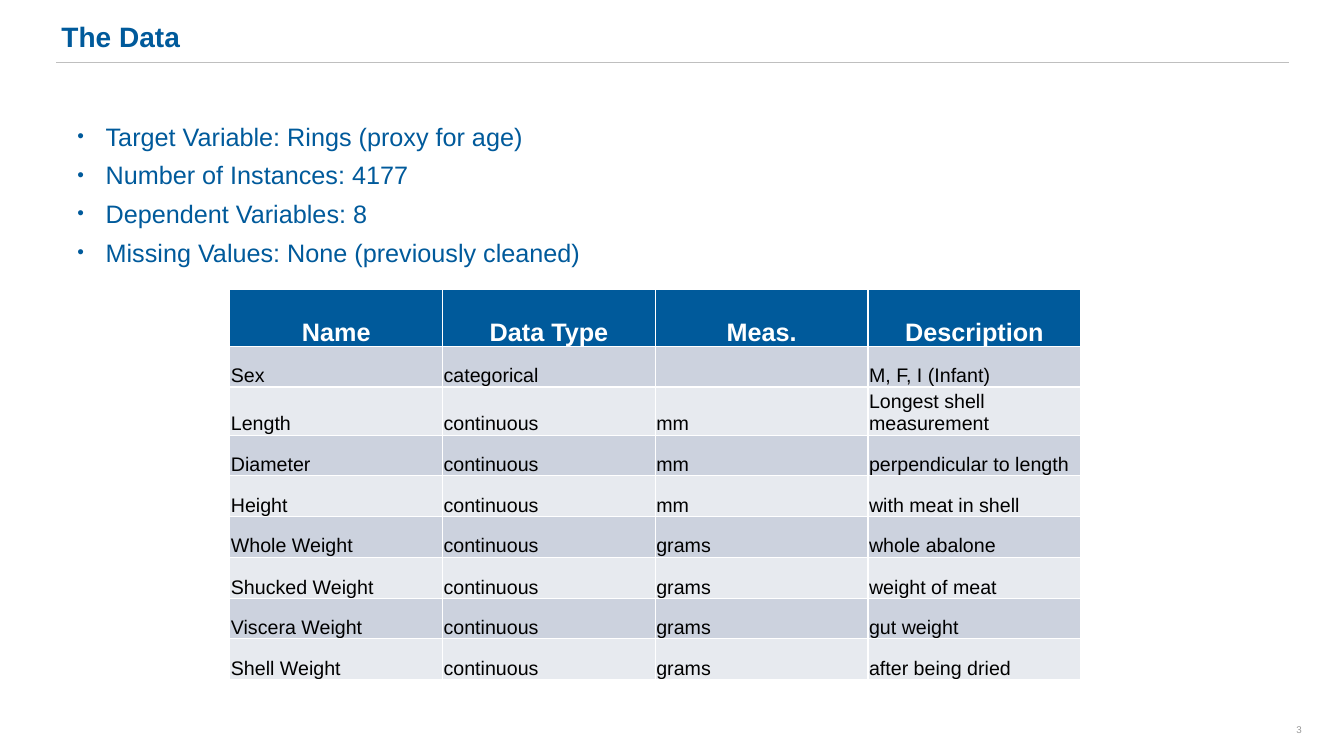
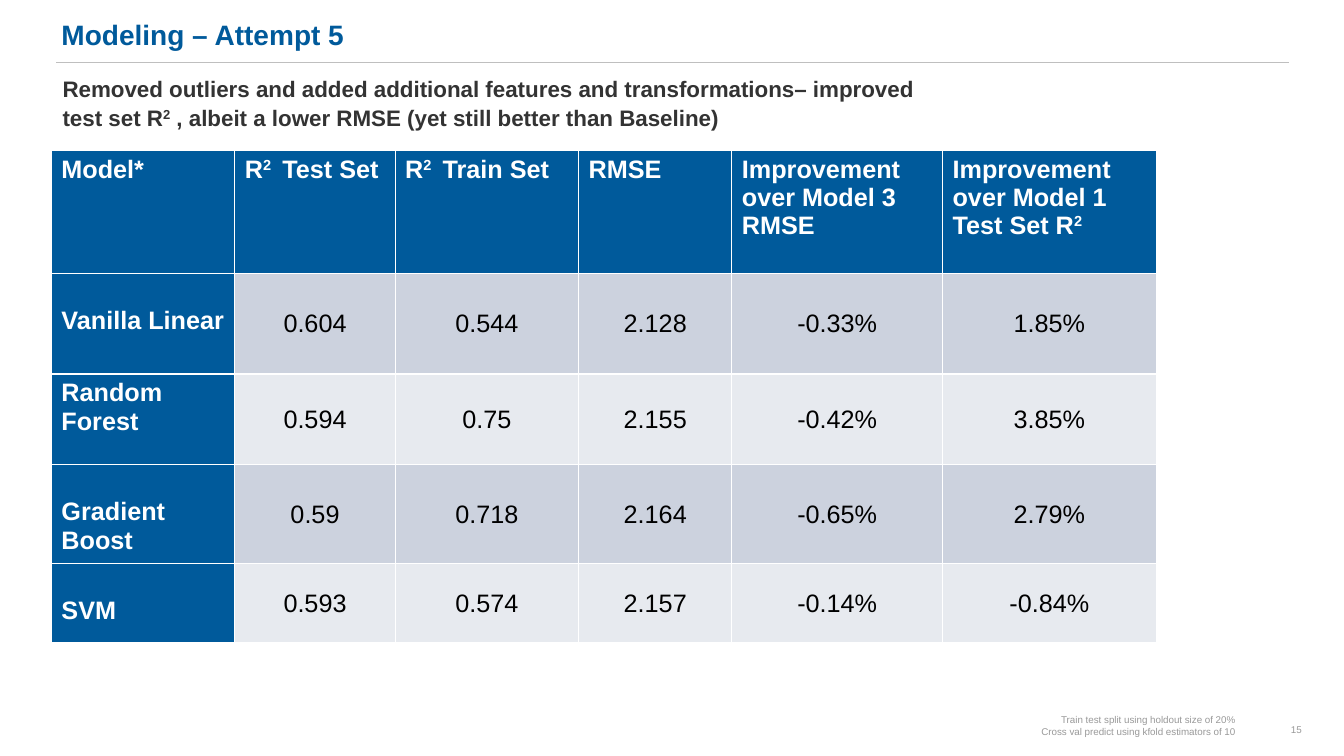
from lxml.etree import SubElement
from pptx import Presentation
from pptx.dml.color import RGBColor
from pptx.enum.shapes import MSO_CONNECTOR
from pptx.enum.text import MSO_ANCHOR as Anchor, PP_ALIGN as Align
from pptx.oxml.ns import qn
from pptx.util import Inches, Pt

BLUE = RGBColor(0x00, 0x5A, 0x9B)
BAND_DARK = RGBColor(0xCC, 0xD2, 0xDE)
BAND_LIGHT = RGBColor(0xE7, 0xEA, 0xEF)
RULE_GRAY = RGBColor(0xBF, 0xBF, 0xBF)
FOOTER_GRAY = RGBColor(0x99, 0x99, 0x99)
DARK_GRAY = RGBColor(0x33, 0x33, 0x33)
WHITE = RGBColor(0xFF, 0xFF, 0xFF)
BLACK = RGBColor(0x00, 0x00, 0x00)

VARIABLES = [
    ("Name", "Data Type", "Meas.", "Description"),
    ("Sex", "categorical", "", "M, F, I (Infant)"),
    ("Length", "continuous", "mm", "Longest shell measurement"),
    ("Diameter", "continuous", "mm", "perpendicular to length"),
    ("Height", "continuous", "mm", "with meat in shell"),
    ("Whole Weight", "continuous", "grams", "whole abalone"),
    ("Shucked Weight", "continuous", "grams", "weight of meat"),
    ("Viscera Weight", "continuous", "grams", "gut weight"),
    ("Shell Weight", "continuous", "grams", "after being dried"),
]
SCORES = [
    ("Model*", "R^2 ^ Test Set", "R^2 ^ Train Set", "RMSE",
     "Improvement over Model 3 RMSE", "Improvement over Model 1 Test Set R^2"),
    ("Vanilla Linear", "0.604", "0.544", "2.128", "-0.33%", "1.85%"),
    ("Random Forest", "0.594", "0.75", "2.155", "-0.42%", "3.85%"),
    ("Gradient Boost", "0.59", "0.718", "2.164", "-0.65%", "2.79%"),
    ("SVM", "0.593", "0.574", "2.157", "-0.14%", "-0.84%"),
]


class Deck:
    """Slides in the shared style; text between carets is superscript."""

    def __init__(self):
        self.prs = Presentation()
        self.prs.slide_width, self.prs.slide_height = Inches(13.33), Inches(7.5)
        self.slide = None

    def fill_paragraph(self, paragraph, text, size, color, bold=False, align=Align.LEFT):
        for index, part in enumerate(text.split("^")):
            if part:
                run = paragraph.add_run()
                run.text = part
                if index % 2:
                    run._r.get_or_add_rPr().set("baseline", "30000")
        font = paragraph.font
        font.name, font.size, font.bold = "Arial", Pt(size), bold
        font.color.rgb = color
        paragraph.alignment = align

    def add_slide(self, title, number, title_top):
        self.slide = self.prs.slides.add_slide(self.prs.slide_layouts[5])
        heading = self.slide.shapes.title
        heading.left, heading.top = Inches(0.51), Inches(title_top)
        heading.width, heading.height = Inches(12), Inches(0.57)
        heading.text_frame.vertical_anchor = Anchor.TOP
        self.fill_paragraph(heading.text_frame.paragraphs[0], title, 20, BLUE, bold=True)
        self.rule()
        self.footer([number], 12.51, 6.73, 0.5, 0.62)

    def rule(self):
        line = self.slide.shapes.add_connector(
            MSO_CONNECTOR.STRAIGHT, Inches(12.78), Inches(0.62), Inches(0.56), Inches(0.62))
        line.line.color.rgb, line.line.width = RULE_GRAY, Pt(1)
        SubElement(line._element.spPr, qn("a:effectLst"))

    def text(self, lines, left, top, width, height, size, color, anchor=Anchor.TOP, **style):
        box = self.slide.shapes.add_textbox(
            Inches(left), Inches(top), Inches(width), Inches(height))
        frame = box.text_frame
        frame.word_wrap, frame.vertical_anchor = True, anchor
        for index, line in enumerate(lines):
            paragraph = frame.add_paragraph() if index else frame.paragraphs[0]
            self.fill_paragraph(paragraph, line, size, color, **style)
        return frame

    def footer(self, lines, *place):
        self.text(lines, *place, 7, FOOTER_GRAY, Anchor.BOTTOM, align=Align.RIGHT)

    def bullets(self, lines, *place):
        for paragraph in self.text(lines, *place, 18, BLUE).paragraphs:
            paragraph.space_after = Pt(6)
            props = paragraph._p.get_or_add_pPr()
            props.set("marL", str(Inches(0.28)))
            props.set("indent", str(-Inches(0.28)))
            bullet = {"a:buSzPct": ("val", "75000"), "a:buFont": ("typeface", "Arial"),
                      "a:buChar": ("char", "•")}
            first_run_default = props.find(qn("a:defRPr"))
            for tag, (key, value) in bullet.items():
                element = SubElement(props, qn(tag))
                element.set(key, value)
                if first_run_default is not None:
                    first_run_default.addprevious(element)

    def subtitle(self, text, *place):
        frame = self.text([text], *place, 16, DARK_GRAY, bold=True)
        frame.margin_left = Inches(0.35)
        frame.paragraphs[0].line_spacing = 1.07

    def table(self, rows, left, top, widths, heights, style_cell):
        grid = self.slide.shapes.add_table(
            len(rows), len(widths), Inches(left), Inches(top),
            Inches(sum(widths)), Inches(sum(heights))).table
        for column, width in zip(grid.columns, widths):
            column.width = Inches(width)
        for r, (row, height) in enumerate(zip(rows, heights)):
            grid.rows[r].height = Inches(height)
            for c, value in enumerate(row):
                cell = grid.cell(r, c)
                cell.fill.solid()
                cell.fill.fore_color.rgb = BAND_DARK if r % 2 else BAND_LIGHT
                style_cell(cell, r, c, value)

    def tight(self, cell, anchor):
        cell.margin_left = cell.margin_right = cell.margin_top = Inches(0.01)
        cell.margin_bottom = 0
        cell.vertical_anchor = anchor

    def header(self, cell, value, align=Align.LEFT):
        cell.fill.fore_color.rgb = BLUE
        self.fill_paragraph(cell.text_frame.paragraphs[0], value, 18, WHITE, True, align)

    def variable_cell(self, cell, row, column, value):
        self.tight(cell, Anchor.BOTTOM)
        if row == 0:
            self.header(cell, value, Align.CENTER)
        else:
            self.fill_paragraph(cell.text_frame.paragraphs[0], value, 14, BLACK)

    def score_cell(self, cell, row, column, value):
        if row == 0 or column == 0:
            self.header(cell, value)
            if row and value != "Random Forest":
                cell.margin_top = Inches(0.33)
        else:
            self.tight(cell, Anchor.MIDDLE)
            self.fill_paragraph(cell.text_frame.paragraphs[0], value, 18, BLACK,
                                align=Align.CENTER)


def main():
    deck = Deck()

    deck.add_slide("The Data", "3", 0.14)
    deck.bullets(["Target Variable: Rings (proxy for age)",
                  "Number of Instances: 4177",
                  "Dependent Variables: 8",
                  "Missing Values: None (previously cleaned)"], 0.67, 1.15, 11.36, 5.55)
    deck.table(VARIABLES, 2.28, 2.87, [2.11] * 4,
               [0.57, 0.4, 0.45] + [0.4, 0.41] * 3, deck.variable_cell)

    deck.add_slide("Modeling – Attempt 5", "15", 0.12)
    deck.table(SCORES, 0.51, 1.49, [1.82, 1.59, 1.82, 1.52, 2.09, 2.12],
               [1.22, 1, 0.9, 0.93, 0.78], deck.score_cell)
    deck.subtitle("Removed outliers and added additional features and transformations– improved "
                  "test set R^2^ , albeit a lower RMSE (yet still better than Baseline)",
                  0.27, 0.68, 9.01, 2.28)
    deck.footer(["Train test split using holdout size of 20%",
                 "Cross val predict using kfold estimators of 10"], 6.19, 6.97, 6.16, 0.39)

    deck.prs.save("out.pptx")


if __name__ == "__main__":
    main()
